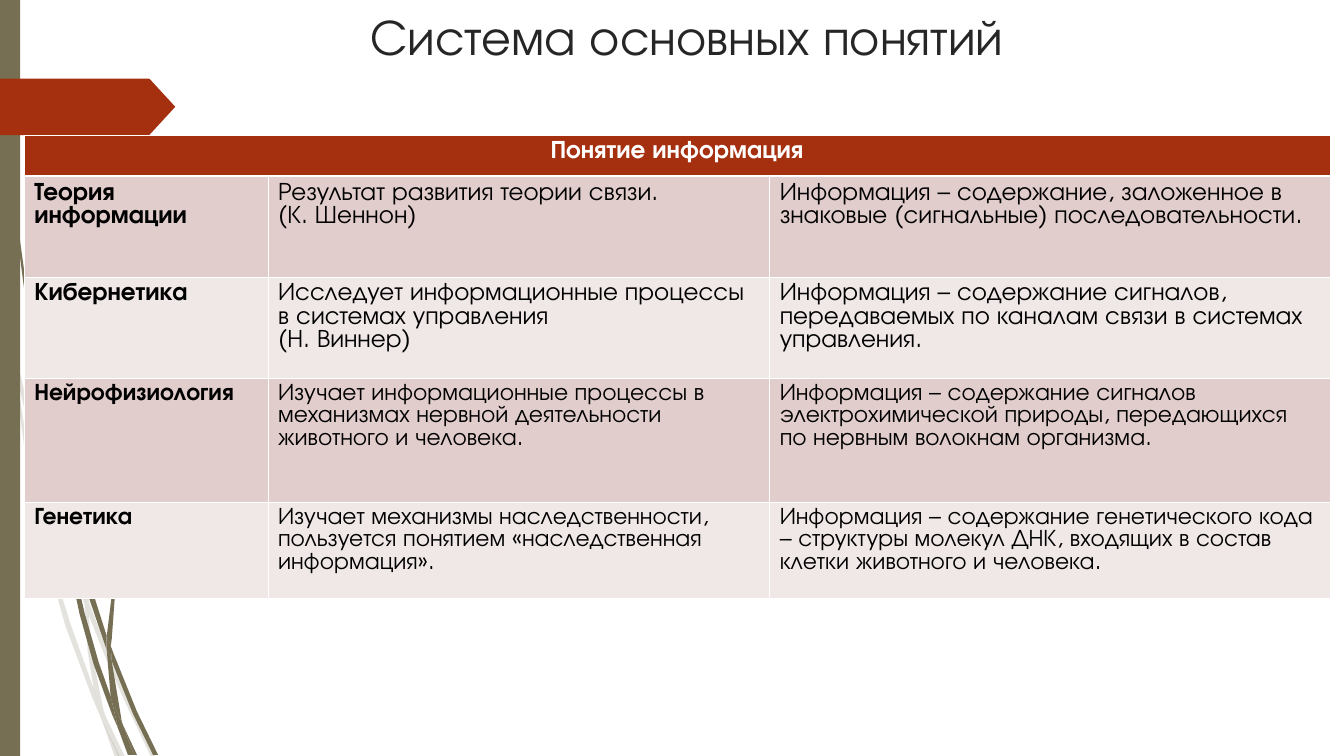
"""Builds a slide with a table of how four sciences define information."""
from lxml import etree
from pptx import Presentation
from pptx import util as u
from pptx.dml.color import RGBColor
from pptx.enum import shapes, text
from pptx.oxml.ns import qn

PX = 9144
FONT = "TeX Gyre Adventor"
COLOURS = {"olive": "766F54", "rust": "A53010", "title": "262626", "white": "FFFFFF",
           "black": "000000", "rose": "E1CDCC", "pale": "F0E8E7"}


def paint(shape, colour):
    shape.shadow.inherit = False
    shape.fill.solid()
    shape.fill.fore_color.rgb = RGBColor.from_string(COLOURS[colour])
    shape.line.fill.background()


def write(frame, words, align, **format_values):
    colour = format_values.pop("colour")
    frame.word_wrap = True
    for index, line in enumerate(words.split("\n")):
        paragraph = frame.add_paragraph() if index else frame.paragraphs[0]
        paragraph.alignment = align
        run = paragraph.add_run()
        run.text = line
        for name, value in format_values.items():
            setattr(run.font, name, value)
        run.font.name = FONT
        run.font.color.rgb = RGBColor.from_string(COLOURS[colour])


deck = Presentation()
deck.slide_width, deck.slide_height = 1334 * PX, 750 * PX
slide = deck.slides.add_slide(deck.slide_layouts[6])

faint_stems = [
    [(11, 350), (8, 322), (0, 282), (0, 299), (10, 344)],
    [(57, 522), (84, 599), (85, 586), (62, 520), (35, 434), (14, 345), (17, 376), (35, 450)],
    [(92, 607), (88, 596), (88, 610), (105, 653), (123, 694), (150, 751), (155, 751),
     (127, 692), (108, 650)],
    [(119, 751), (124, 751), (105, 711)],
    [(93, 683), (70, 619), (47, 545), (31, 469), (17, 376), (11, 350), (28, 470), (44, 546),
     (65, 621), (92, 693), (101, 714), (99, 707)],
    [(84, 599), (87, 646), (93, 683), (96, 692), (105, 711), (103, 706), (91, 646), (88, 610),
     (88, 608)],
    [(88, 584), (94, 522), (110, 462), (132, 405), (160, 349), (192, 296), (229, 245),
     (268, 198), (290, 175), (312, 153), (289, 175), (268, 197), (228, 244), (191, 295),
     (158, 348), (129, 404), (107, 461), (91, 522), (85, 584), (85, 586), (88, 596)],
    [(101, 714), (114, 751), (119, 751)],
    [(88, 608), (88, 610), (88, 596), (85, 586), (84, 599)],
    [(96, 692), (93, 683), (99, 707), (101, 714), (118, 751), (119, 751), (105, 711)],
]
dark_stems = [
    [(7, 110), (17, 233), (33, 355), (56, 477), (57, 481), (55, 457), (55, 453), (36, 355),
     (19, 232), (8, 109), (5, 48), (3, 0), (3, 48)],
    [(88, 592), (106, 645), (106, 633), (106, 631), (93, 590), (75, 532), (60, 472),
     (64, 505), (75, 549)],
    [(113, 649), (110, 641), (111, 656), (132, 708), (152, 749), (157, 749), (136, 706)],
    [(110, 691), (98, 657), (84, 608), (72, 556), (64, 505), (57, 477), (68, 557), (79, 609),
     (93, 659), (111, 708), (117, 722), (116, 717)],
    [(60, 472), (58, 453), (54, 349), (58, 245), (63, 193), (70, 141), (62, 193), (56, 245),
     (52, 349), (55, 449)],
    [(133, 749), (136, 749), (122, 719)],
    [(57, 477), (64, 505), (60, 472), (55, 449), (55, 453)],
    [(111, 633), (114, 592), (125, 552), (140, 513), (158, 476), (180, 440), (205, 406),
     (231, 374), (246, 359), (261, 344), (260, 344), (245, 358), (231, 373), (204, 405),
     (178, 439), (156, 474), (137, 512), (122, 551), (111, 590), (106, 631), (110, 641)],
    [(117, 722), (127, 749), (131, 749)],
    [(106, 645), (110, 692), (116, 706), (122, 719), (121, 716), (111, 656), (109, 651)],
    [(106, 645), (109, 651), (111, 656), (110, 641), (106, 631)],
    [(116, 706), (110, 691), (116, 717), (117, 722), (130, 749), (133, 749), (122, 719)],
]
for stems, opacity in ((faint_stems, 20), (dark_stems, 100)):
    for outline in stems:
        builder = slide.shapes.build_freeform(*outline[0], scale=PX)
        builder.add_line_segments(outline[1:], close=True)
        stem = builder.convert_to_shape()
        paint(stem, "olive")
        if opacity < 100:
            tint = stem.fill._xPr.find(qn("a:solidFill"))[0]
            etree.SubElement(tint, qn("a:alpha"), val=str(opacity * 1000))

for preset, box, colour in (
    (shapes.MSO_SHAPE.RECTANGLE, (0, 0, 20, 750), "olive"),
    (shapes.MSO_SHAPE.PENTAGON, (0, 78, 174, 56), "rust"),
):
    banner = slide.shapes.add_shape(preset, *(side * PX for side in box))
    paint(banner, colour)
banner.adjustments[0] = 0.46

title = slide.shapes.add_textbox(143 * PX, 0, 1078 * PX, 82 * PX).text_frame
title.vertical_anchor = text.MSO_ANCHOR.MIDDLE
title.margin_bottom = 16 * PX
write(title, "Система основных понятий", text.PP_ALIGN.CENTER, size=u.Pt(36), colour="title")

sciences = [
    ("Понятие информация", "", ""),
    ("Теория информации", "Результат развития теории связи.\n(К. Шеннон)",
     "Информация – содержание, заложенное в знаковые (сигнальные) последовательности."),
    ("Кибернетика", "Исследует информационные процессы в системах управления\n(Н. Виннер)",
     "Информация – содержание сигналов, передаваемых по каналам связи в системах управления."),
    ("Нейрофизиология",
     "Изучает информационные процессы в механизмах нервной деятельности животного и человека.",
     "Информация – содержание сигналов электрохимической природы, передающихся по нервным "
     "волокнам организма."),
    ("Генетика",
     "Изучает механизмы наследственности, пользуется понятием «наследственная информация».",
     "Информация – содержание генетического кода – структуры молекул ДНК, входящих в состав "
     "клетки животного и человека."),
]
widths, heights = (242, 498, 556), (41, 100, 100, 123, 95)
table = slide.shapes.add_table(5, 3, 24 * PX, 134 * PX, sum(widths) * PX, sum(heights) * PX).table
for column, width in zip(table.columns, widths):
    column.width = width * PX
for row, height in zip(table.rows, heights):
    row.height = height * PX
table.cell(0, 0).merge(table.cell(0, 2))

for r, science in enumerate(sciences):
    for c, words in enumerate(science):
        cell = table.cell(r, c)
        header = r == 0
        properties = cell._tc.get_or_add_tcPr()
        for side in ("lnL", "lnR", "lnT", "lnB"):
            thick = (r, side) in ((0, "lnB"), (1, "lnT"))
            border = etree.SubElement(properties, qn(f"a:{side}"), w=str(u.Pt(1.47 if thick else 0.45)))
            border_fill = etree.SubElement(border, qn("a:solidFill"))
            etree.SubElement(border_fill, qn("a:srgbClr"), val=COLOURS["white"])
        cell.fill.solid()
        fill = "rust" if header else "rose" if r % 2 else "pale"
        cell.fill.fore_color.rgb = RGBColor.from_string(COLOURS[fill])
        if words:
            write(cell.text_frame, words,
                  text.PP_ALIGN.CENTER if header else text.PP_ALIGN.LEFT,
                  size=u.Pt(18 if r < 3 else 17), bold=c == 0,
                  colour="white" if header else "black")

deck.save("out.pptx")
